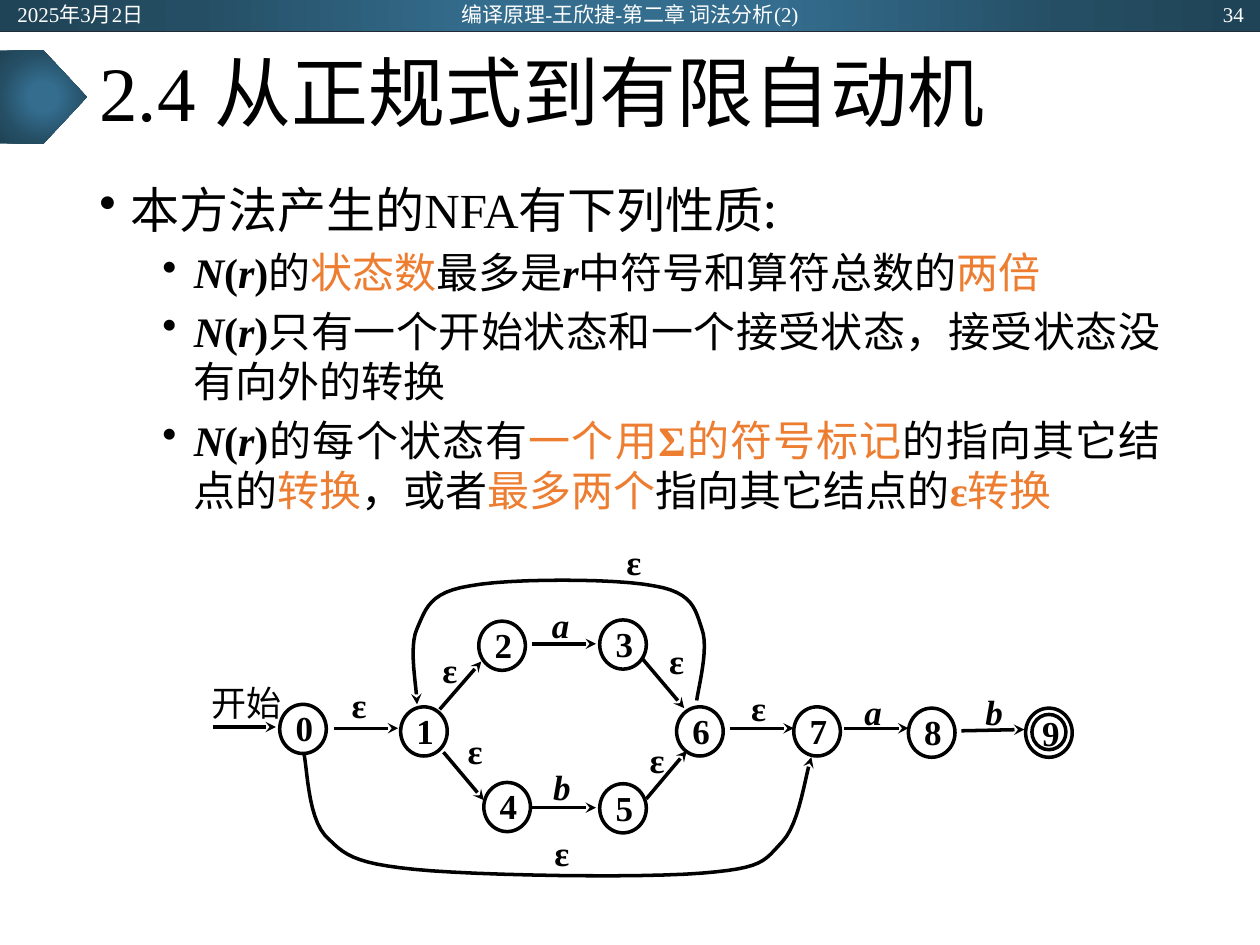
from typing import NamedTuple

import pptx
import pptx.dml.color
import pptx.enum.shapes
import pptx.enum.text
import pptx.oxml
import pptx.oxml.ns
import pptx.util
from lxml import etree

Inches, Pt = pptx.util.Inches, pptx.util.Pt
qn = pptx.oxml.ns.qn
ALIGN = pptx.enum.text.PP_ALIGN
ANCHOR = pptx.enum.text.MSO_ANCHOR
SHAPE = pptx.enum.shapes.MSO_SHAPE

LATIN, CJK = "Times New Roman", "Noto Sans CJK SC"
BLACK, WHITE, ORANGE, NAVY = "000000", "FFFFFF", "ED7D31", "222A35"
GRADIENT_STOPS = {0: "346D8E", 23: "346D8E", 69: "254E64", 97: "204457"}
LABEL_INSETS = (0.04, 0.02, 0.04, 0.02)
NODE_INSETS = (0.04, 0.02, 0.02, 0.04)


class Run(NamedTuple):
    text: str
    color: str = BLACK
    bold: bool = False
    italic: bool = False
    font: str = LATIN


class State(NamedTuple):
    name: str
    left: float
    top: float


class Label(NamedTuple):
    text: str
    left: float
    top: float
    width: float = 0.32
    height: float = 0.31


class Arrow(NamedTuple):
    x1: float
    y1: float
    x2: float
    y2: float


def rgb(color: str):
    return pptx.dml.color.RGBColor.from_string(color)


def add_runs(paragraph, runs: list[Run], size: float) -> None:
    for part in runs:
        run = paragraph.add_run()
        run.text = part.text
        font = run.font
        font.name, font.size = part.font, Pt(size)
        font.bold, font.italic = part.bold, part.italic
        font.color.rgb = rgb(part.color)
        etree.SubElement(run._r.rPr, qn("a:ea"), typeface=CJK)


def write(shape, run: Run, size: float, align=ALIGN.CENTER, insets=None, wrap=False):
    """Put one vertically centred line of text in a shape."""
    frame = shape.text_frame
    frame.word_wrap = wrap
    frame.vertical_anchor = ANCHOR.MIDDLE
    if insets:
        (frame.margin_left, frame.margin_top,
         frame.margin_right, frame.margin_bottom) = map(Inches, insets)
    frame.paragraphs[0].alignment = align
    add_runs(frame.paragraphs[0], [run], size)
    return frame.paragraphs[0]


def add_box(shapes, left: float, top: float, width: float, height: float):
    return shapes.add_textbox(*map(Inches, (left, top, width, height)))


def add_gradient_shape(shapes, kind, left, top, width, height) -> None:
    """Add a borderless shape shaded outwards from its centre."""
    shape = shapes.add_shape(kind, *map(Inches, (left, top, width, height)))
    shape.shadow.inherit = False
    shape.line.fill.background()
    stops = "".join(f'<a:gs pos="{pos * 1000}"><a:srgbClr val="{color}"/></a:gs>'
                    for pos, color in GRADIENT_STOPS.items())
    shading = pptx.oxml.parse_xml(
        f'<a:gradFill {pptx.oxml.ns.nsdecls("a")} rotWithShape="1"><a:gsLst>{stops}</a:gsLst>'
        '<a:path path="circle"><a:fillToRect l="50000" t="50000" r="50000" b="50000"/>'
        '</a:path></a:gradFill>')
    shape._element.spPr.find(qn("a:prstGeom")).addnext(shading)


def set_line(shape, color: str = BLACK, width: float = 2, arrow: bool = False) -> None:
    shape.line.color.rgb = rgb(color)
    shape.line.width = Pt(width)
    if arrow:
        etree.SubElement(shape._element.spPr.find(qn("a:ln")), qn("a:tailEnd"), type="stealth")


def add_line(shapes, ends: Arrow, **style) -> None:
    line = shapes.add_connector(pptx.enum.shapes.MSO_CONNECTOR.STRAIGHT, *map(Inches, ends))
    set_line(line, **style)
    etree.SubElement(line._element.spPr, qn("a:effectLst"))


def add_circle(shapes, left: float, top: float, width: float = 0.37, height: float = 0.39):
    circle = shapes.add_shape(SHAPE.OVAL, *map(Inches, (left, top, width, height)))
    circle.shadow.inherit = False
    circle.fill.background()
    set_line(circle)
    return circle


def add_curve(shapes, knots: list[tuple[float, float]], steps: int = 12) -> None:
    """Draw an arrow along chained cubic Béziers: a start, then three points per piece."""
    points = []
    for first in range(0, len(knots) - 1, 3):
        piece = knots[first:first + 4]
        for step in range(1, steps + 1):
            t = step / steps
            weights = ((1 - t) ** 3, 3 * t * (1 - t) ** 2, 3 * t * t * (1 - t), t ** 3)
            points.append(tuple(Inches(sum(w * p[axis] for w, p in zip(weights, piece)))
                                for axis in (0, 1)))
    builder = shapes.build_freeform(*map(Inches, knots[0]))
    builder.add_line_segments(points, close=False)
    curve = builder.convert_to_shape()
    curve.shadow.inherit = False
    curve.fill.background()
    set_line(curve, arrow=True)


def add_bullet(paragraph, runs: list[Run], level: int, size: float, line: float) -> None:
    props = paragraph._p.get_or_add_pPr()
    props.set("marL", str(Inches(0.25 + 0.5 * level)))
    props.set("indent", str(Inches(-0.25)))
    etree.SubElement(props, qn("a:buChar"), char="•")
    paragraph.level = level
    paragraph.line_spacing = Pt(line)
    if level:
        paragraph.alignment = ALIGN.JUSTIFY
        paragraph.space_before = Pt(5)
    add_runs(paragraph, runs, size)


N_OF_R = [Run("N", bold=True, italic=True), Run("(", bold=True),
          Run("r", bold=True, italic=True), Run(")", bold=True)]
HEADING = [Run("本方法产生的NFA有"), Run("下列性质:", font=CJK)]
PROPERTIES = [
    [Run("的"), Run("状态数", ORANGE), Run("最多是"), Run("r", bold=True, italic=True),
     Run("中符号和算符总数的"), Run("两倍", ORANGE)],
    [Run("只有一个开始状态和一个接受状态，接受状态没有向外的转换")],
    [Run("的每个状态有"), Run("一个用", ORANGE), Run("Σ", ORANGE, True),
     Run("的符号标记", ORANGE), Run("的指向其它结点的"), Run("转换", ORANGE),
     Run("，或者"), Run("最多两个", ORANGE), Run("指向其它结点的"),
     Run("ε", ORANGE, True), Run("转换", ORANGE)],
]
STATES = [
    State("0", 2.22, 5.59), State("1", 3.18, 5.61), State("2", 3.8, 4.93),
    State("3", 4.76, 4.92), State("4", 3.84, 6.21), State("5", 4.76, 6.22),
    State("6", 5.37, 5.61), State("7", 6.3, 5.61), State("8", 7.21, 5.62),
]
TRANSITIONS = [
    Arrow(1.69, 5.77, 2.19, 5.77), Arrow(2.65, 5.78, 3.16, 5.78),
    Arrow(3.49, 5.63, 3.82, 5.25), Arrow(3.52, 5.97, 3.84, 6.35),
    Arrow(4.22, 5.11, 4.73, 5.11), Arrow(4.22, 6.41, 4.73, 6.41),
    Arrow(5.1, 5.23, 5.43, 5.62), Arrow(5.13, 6.34, 5.45, 5.96),
    Arrow(5.79, 5.78, 6.3, 5.78), Arrow(6.7, 5.78, 7.21, 5.78),
    Arrow(7.63, 5.8, 8.13, 5.79),
]
LABELS = [
    Label("开始", 1.49, 5.39, 0.94, 0.37), Label("ε", 2.69, 5.44), Label("ε", 3.42, 5.16, 0.3),
    Label("ε", 3.61, 5.8), Label("a", 4.3, 4.8, 0.3), Label("b", 4.31, 6.09, 0.3),
    Label("ε", 5.21, 5.09), Label("ε", 5.05, 5.87, 0.33), Label("ε", 5.86, 5.46),
    Label("a", 6.78, 5.49, 0.3), Label("b", 7.72, 5.48, 0.34, 0.33),
    Label("ε", 4.3, 6.61), Label("ε", 4.87, 4.3),
]
SKIP_CURVE = [
    (2.41, 5.97), (2.44, 6.08), (2.44, 6.47), (2.58, 6.63), (2.73, 6.78), (2.79, 6.85),
    (3.29, 6.9), (3.78, 6.95), (5.09, 6.97), (5.57, 6.93), (6.06, 6.89), (6.06, 6.84),
    (6.21, 6.68), (6.35, 6.53), (6.39, 6.15), (6.44, 6.01)]
LOOP_CURVE = [
    (5.53, 5.56), (5.54, 5.47), (5.63, 5.14), (5.57, 4.99), (5.52, 4.84), (5.5, 4.7),
    (5.19, 4.65), (4.89, 4.59), (4.04, 4.59), (3.73, 4.65), (3.41, 4.7), (3.38, 4.83),
    (3.31, 4.99), (3.24, 5.14), (3.31, 5.46), (3.31, 5.59)]


def draw_automaton(shapes) -> None:
    for state in STATES:
        write(add_circle(shapes, state.left, state.top), Run(state.name, bold=True), 20,
              insets=NODE_INSETS)
    add_circle(shapes, 8.14, 5.62)
    write(add_circle(shapes, 8.19, 5.67, 0.27, 0.28), Run("9", bold=True), 20,
          insets=(0.04, 0, 0.01, 0))
    for transition in TRANSITIONS:
        add_line(shapes, transition, arrow=True)
    for curve in (SKIP_CURVE, LOOP_CURVE):
        add_curve(shapes, curve)
    for text, *place in LABELS:
        run = Run(text, bold=text != "开始", italic=text in "ab")
        write(add_box(shapes, *place), run, 20, insets=LABEL_INSETS)


def main() -> None:
    deck = pptx.Presentation()
    deck.slide_width, deck.slide_height = Inches(10), Inches(7.5)
    shapes = deck.slides.add_slide(deck.slide_layouts[6]).shapes

    add_gradient_shape(shapes, SHAPE.RECTANGLE, 0, 0, 10, 0.25)
    add_line(shapes, Arrow(0, 0.25, 10, 0.25), color=NAVY, width=0.5)
    add_gradient_shape(shapes, SHAPE.PENTAGON, 0, 0.4, 0.69, 0.74)

    title = write(add_box(shapes, 0.69, 0.25, 8.62, 1.04), Run("2.4 从正规式到有限自动机"),
                  44, ALIGN.LEFT, wrap=True)
    title.line_spacing = 0.9

    body = add_box(shapes, 0.69, 1.38, 8.62, 5.38).text_frame
    body.word_wrap = True
    add_bullet(body.paragraphs[0], HEADING, 0, 28, 33.4)
    for statement in PROPERTIES:
        add_bullet(body.add_paragraph(), N_OF_R + statement, 1, 24, 28.6)

    draw_automaton(shapes.add_group_shape().shapes)

    for text, left, width, align in (
            ("2025年3月2日", 0.04, 2.25, ALIGN.LEFT),
            ("编译原理-王欣捷-第二章 词法分析(2)", 3.31, 3.38, ALIGN.CENTER),
            ("34", 7.72, 2.25, ALIGN.RIGHT)):
        write(add_box(shapes, left, 0.01, width, 0.2), Run(text, WHITE), 12, align, wrap=True)
    deck.save("out.pptx")


if __name__ == "__main__":
    main()
